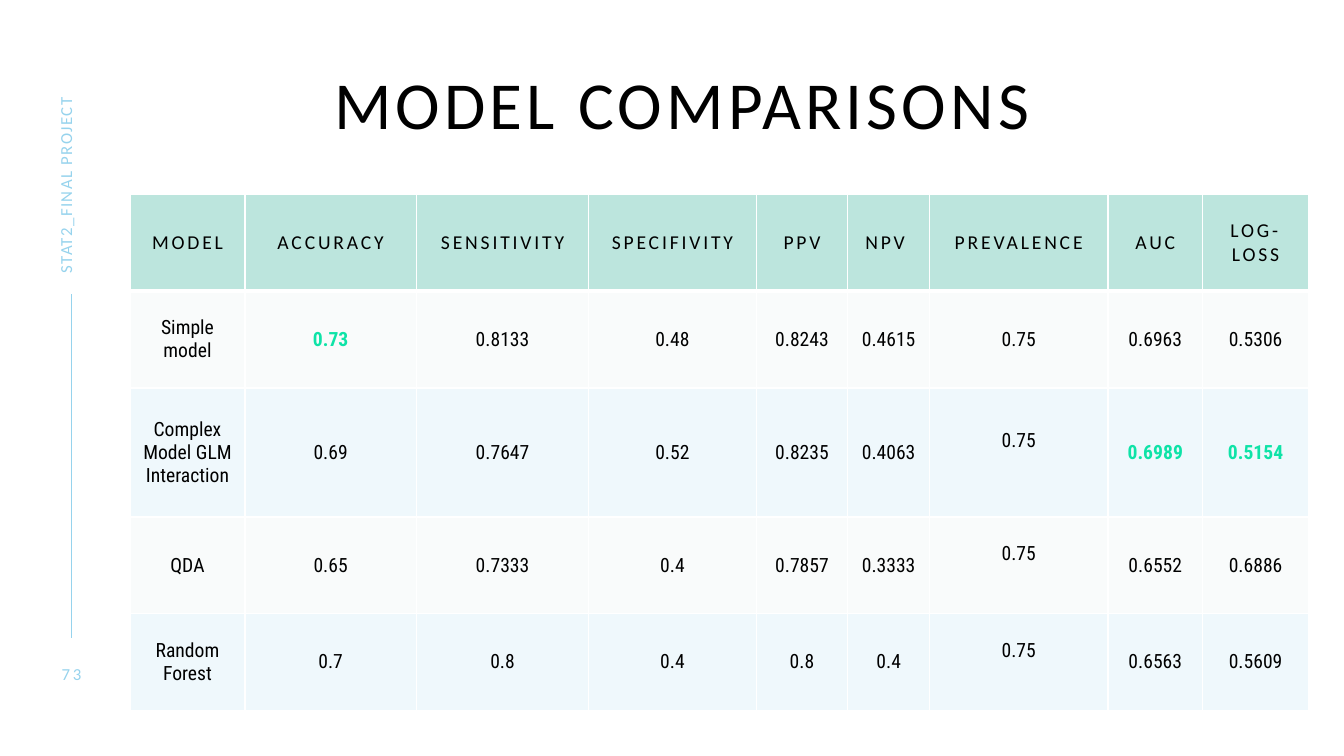
from dataclasses import dataclass

from lxml import etree
from pptx import Presentation
from pptx import util as u
from pptx.dml.color import RGBColor
from pptx.enum import shapes, text
from pptx.oxml import ns

EMU_PER_PX = 9144
BLACK, WHITE, SKY, MINT, BRIGHT = "000000", "FFFFFF", "96D3ED", "BCE5DD", "0EE3A7"
HEADING_FONT, BODY_FONT = "Calibri", "Roboto Condensed"


@dataclass(frozen=True)
class Label:
    wording: str
    box: tuple[int, int, int, int]
    size: int
    spacing: int
    color: str = SKY
    align: text.PP_ALIGN = text.PP_ALIGN.CENTER
    anchor: text.MSO_ANCHOR = text.MSO_ANCHOR.MIDDLE
    line_spacing: float = 1.0
    rotation: int = 0


@dataclass(frozen=True)
class Band:
    fill: str
    opacity: int
    font: str
    spacing: int
    bottom_border: int = 1


HEADER = Band(MINT, 100, HEADING_FONT, 2, 3)
BODY_BANDS = (Band("C7DBE1", 10, BODY_FONT, 0), Band(SKY, 15, BODY_FONT, 0))

LABELS = (
    Label(" MODEL COMPARISONS", (105, 71, 1124, 98), 48, 3, BLACK,
          anchor=text.MSO_ANCHOR.TOP, line_spacing=0.9),
    Label("73", (46, 658, 50, 20), 12, 2),
    Label("STAT2_FINAL PROJECT", (-54, 145, 238, 14), 12, 1,
          align=text.PP_ALIGN.LEFT, rotation=270),
)

COMPARISONS = (
    ("MODEL", "ACCURACY", "SENSITIVITY", "SPECIFIVITY", "PPV", "NPV ",
     "PREVALENCE", "AUC", "LOG-LOSS"),
    ("Simple model", "0.73", "0.8133", "0.48", "0.8243", "0.4615", "0.75", "0.6963", "0.5306"),
    ("Complex Model GLM Interaction", "0.69", "0.7647", "0.52", "0.8235", "0.4063",
     "0.75", "0.6989", "0.5154"),
    ("QDA", "0.65", "0.7333", "0.4", "0.7857", "0.3333", "0.75", "0.6552", "0.6886"),
    ("Random Forest", "0.7", "0.8", "0.4", "0.8", "0.4", "0.75", "0.6563", "0.5609"),
)
BEST_SCORES = {(1, 1), (2, 7), (2, 8)}
RAISED_PREVALENCES = {(2, 6), (3, 6), (4, 6)}
TIGHT_CELLS = {(3, 3), (3, 4), (3, 5)}
COLUMN_WIDTHS = (114, 170, 171, 166, 91, 81, 177, 94, 105)
ROW_HEIGHTS = (96, 96, 128, 96, 96)


def px(length: int) -> u.Emu:
    return u.Emu(length * EMU_PER_PX)


def rgb(color: str) -> RGBColor:
    return RGBColor.from_string(color)


def write(frame, wording: str, *, size: int, font: str, color: str, spacing: int = 0,
          bold: bool = False, align=text.PP_ALIGN.CENTER, line_spacing: float = 1.0) -> None:
    paragraph = frame.paragraphs[0]
    paragraph.alignment = align
    paragraph.line_spacing = line_spacing
    run = paragraph.add_run()
    run.text = wording
    run.font.size = u.Pt(size)
    run.font.name = font
    run.font.bold = bold
    run.font.color.rgb = rgb(color)
    run.font._element.set("spc", str(spacing * 100))


def set_margins(holder, margin: int) -> None:
    holder.margin_left = holder.margin_right = px(margin)
    holder.margin_top = holder.margin_bottom = px(margin)


def draw_label(slide, label: Label) -> None:
    box = slide.shapes.add_textbox(*map(px, label.box))
    box.rotation = label.rotation
    frame = box.text_frame
    frame.word_wrap = True
    frame.vertical_anchor = label.anchor
    set_margins(frame, 0)
    write(frame, label.wording, size=label.size, font=HEADING_FONT, color=label.color,
          spacing=label.spacing, align=label.align, line_spacing=label.line_spacing)


def draw_margin_rule(slide) -> None:
    rule = slide.shapes.add_connector(
        shapes.MSO_CONNECTOR.STRAIGHT, px(71), px(292), px(71), px(633))
    rule.line.color.rgb = rgb(SKY)
    rule.line.width = u.Pt(1)
    etree.SubElement(rule._element.spPr, ns.qn("a:effectLst"))


def style_cell(cell, band: Band) -> None:
    properties = cell._tc.get_or_add_tcPr()
    for side in "LRTB":
        width = band.bottom_border if side == "B" else 1
        border = etree.SubElement(properties, ns.qn(f"a:ln{side}"), w=str(u.Pt(width)))
        stroke = etree.SubElement(border, ns.qn("a:solidFill"))
        etree.SubElement(stroke, ns.qn("a:srgbClr"), val=WHITE)
    cell.fill.solid()
    cell.fill.fore_color.rgb = rgb(band.fill)
    if band.opacity < 100:
        tint = properties.find(ns.qn("a:solidFill")).find(ns.qn("a:srgbClr"))
        etree.SubElement(tint, ns.qn("a:alpha"), val=str(band.opacity * 1000))


def draw_comparisons(slide) -> None:
    table = slide.shapes.add_table(
        len(ROW_HEIGHTS), len(COLUMN_WIDTHS), px(129), px(193),
        px(sum(COLUMN_WIDTHS)), px(sum(ROW_HEIGHTS))).table
    table.first_row = table.horz_banding = False
    for column, width in zip(table.columns, COLUMN_WIDTHS):
        column.width = px(width)
    for row, height in zip(table.rows, ROW_HEIGHTS):
        row.height = px(height)
    for r, entries in enumerate(COMPARISONS):
        band = BODY_BANDS[(r - 1) % 2] if r else HEADER
        for c, entry in enumerate(entries):
            cell = table.cell(r, c)
            best = (r, c) in BEST_SCORES
            style_cell(cell, band)
            cell.vertical_anchor = text.MSO_ANCHOR.MIDDLE
            if (r, c) in TIGHT_CELLS:
                set_margins(cell, 0)
            if (r, c) in RAISED_PREVALENCES:
                cell.margin_bottom = px(28)
            write(cell.text_frame, entry, size=14, font=band.font,
                  color=BRIGHT if best else BLACK, spacing=band.spacing, bold=best)


def main() -> None:
    deck = Presentation()
    deck.slide_width, deck.slide_height = px(1333), px(750)
    slide = deck.slides.add_slide(deck.slide_layouts[6])
    draw_margin_rule(slide)
    for label in LABELS:
        draw_label(slide, label)
    draw_comparisons(slide)
    deck.save("out.pptx")


if __name__ == "__main__":
    main()
